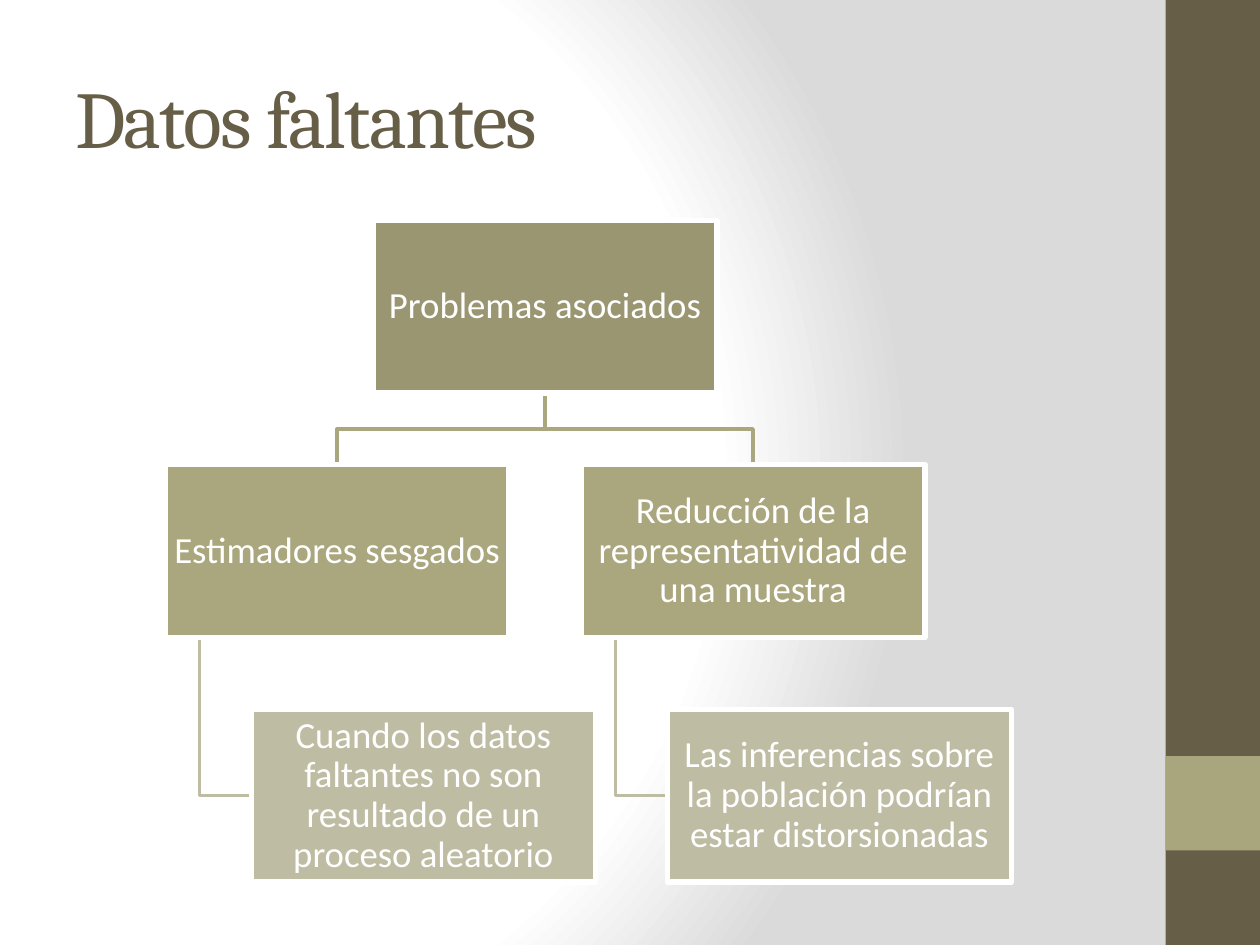
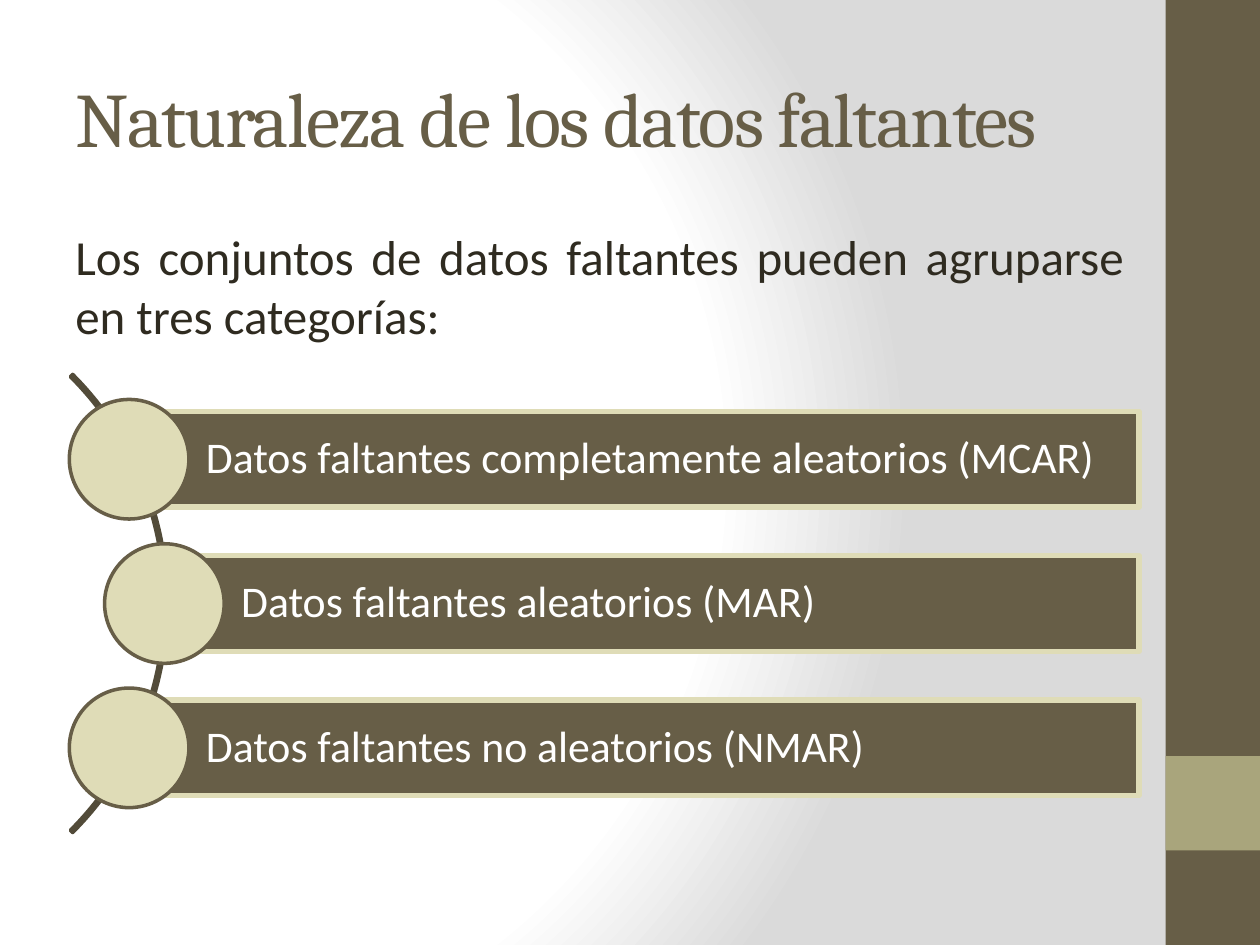
from collections import namedtuple

from lxml import etree
from pptx import Presentation
from pptx.dml.color import RGBColor
from pptx.enum.shapes import MSO_SHAPE
from pptx.enum.text import MSO_ANCHOR, PP_ALIGN
from pptx.oxml import parse_xml
from pptx.oxml.ns import nsdecls, qn
from pptx.util import Inches, Pt

RECT, OVAL, ARC = MSO_SHAPE.RECTANGLE, MSO_SHAPE.OVAL, MSO_SHAPE.BLOCK_ARC
LEFT, CENTER, JUSTIFY = PP_ALIGN.LEFT, PP_ALIGN.CENTER, PP_ALIGN.JUSTIFY
TOP, MIDDLE = MSO_ANCHOR.TOP, MSO_ANCHOR.MIDDLE

WIDTH, HEIGHT = 10, 7.5
HEAD_FONT, BODY_FONT = "Cambria", "Calibri"
WHITE, GREY, INK = "FFFFFF", "DADADA", "2F2B20"
BROWN, DARK_BROWN, OLIVE, CREAM = "675E47", "524B39", "A9A57C", "DFDCB7"
LEVELS = ["999671", "AAA67E", "BEBCA2"]

Box = namedtuple("Box", "x y w h")
TITLE_BOX = Box(0.5, 0.3, 8.33, 1.25)
TREE_BOX = Box(1.31, 1.75, 6.71, 5.25)
INTRO_BOX = Box(0.5, 1.75, 8.52, 1.21)
LIST_BOX = Box(0.55, 3.17, 8.49, 3.24)

BRANCHES = [
    ("Estimadores sesgados",
     "Cuando los datos faltantes no son resultado de un proceso aleatorio"),
    ("Reducción de la representatividad de una muestra",
     "Las inferencias sobre la población podrían estar distorsionadas"),
]
CATEGORIES = [
    "Datos faltantes completamente aleatorios (MCAR)",
    "Datos faltantes aleatorios (MAR)",
    "Datos faltantes no aleatorios (NMAR)",
]


def rgb(value):
    """Turn a hex string into a colour."""
    return RGBColor.from_string(value)


def style(shape, fill=None, line=None, width=2):
    """Set fill and outline, leaving out whichever is not given."""
    shape.shadow.inherit = False
    if fill:
        shape.fill.solid()
        shape.fill.fore_color.rgb = rgb(fill)
    else:
        shape.fill.background()
    if line:
        shape.line.color.rgb = rgb(line)
        shape.line.width = Pt(width)
    else:
        shape.line.fill.background()
    return shape


def add_shape(s, kind, box, fill=None, line=None, width=2):
    """Add a preset shape in a box."""
    return style(s.shapes.add_shape(kind, *map(Inches, box)), fill, line, width)


def add_path(s, points, color):
    """Draw an open line through points."""
    start, *rest = [(Inches(x), Inches(y)) for x, y in points]
    builder = s.shapes.build_freeform(*start)
    builder.add_line_segments(rest, close=False)
    return style(builder.convert_to_shape(), line=color)


def write(shape, text, size, color, font=BODY_FONT, align=LEFT, anchor=MIDDLE,
          insets=(0.1, 0.05, 0.1, 0.05), spacing=1.0):
    """Put one formatted paragraph in a shape and return its run."""
    tf = shape.text_frame
    tf.text = text
    tf.word_wrap = True
    tf.vertical_anchor = anchor
    (tf.margin_left, tf.margin_top,
     tf.margin_right, tf.margin_bottom) = map(Inches, insets)
    p = tf.paragraphs[0]
    p.alignment, p.line_spacing = align, spacing
    r = p.runs[0]
    r.font.name, r.font.size, r.font.color.rgb = font, Pt(size), rgb(color)
    return r


def add_background(s):
    """Fill the slide with a circular gradient from white to grey."""
    bg = parse_xml(
        f'<p:bg {nsdecls("p", "a")}><p:bgPr><a:gradFill rotWithShape="1"><a:gsLst/>'
        '<a:path path="circle"><a:fillToRect l="20000" t="50000" r="100000" b="50000"/>'
        '</a:path></a:gradFill><a:effectLst/></p:bgPr></p:bg>')
    stops = bg.find(".//" + qn("a:gsLst"))
    for share, color in [(0, WHITE), (75, WHITE), (100, GREY)]:
        stop = etree.SubElement(stops, qn("a:gs"), pos=str(share * 1000))
        etree.SubElement(stop, qn("a:srgbClr"), val=color)
    s.element.cSld.insert(0, bg)


def add_slide(prs, title, size):
    """Start a slide with background, side band and title."""
    s = prs.slides.add_slide(prs.slide_layouts[6])
    add_background(s)
    band = 0.075 * WIDTH
    add_shape(s, RECT, (WIDTH - band, 0, band, HEIGHT), BROWN)
    add_shape(s, RECT, (WIDTH - band, 0.8 * HEIGHT, band, band), OLIVE)
    tb = s.shapes.add_textbox(*map(Inches, TITLE_BOX))
    r = write(tb, title, size, BROWN, HEAD_FONT)
    r.font._element.set("spc", "-100")
    return s


def add_node(s, box, text, level):
    """Add one box of the tree."""
    node = add_shape(s, RECT, box, LEVELS[level], WHITE, 3)
    write(node, text, 21, WHITE, align=CENTER, insets=[0.01] * 4, spacing=0.9)


def add_tree(s, box, root_text, branches):
    """Draw a root with branches, each with one indented leaf."""
    w, h = 0.407 * box.w, 0.261 * box.h
    col, row, indent = 0.492 * box.w, 0.3695 * box.h, 0.102 * box.w
    root = Box(box.x + col / 2, box.y, w, h)
    nodes = [(root, root_text, 0)]
    for i, (problem, detail) in enumerate(branches):
        branch = Box(box.x + i * col, box.y + row, w, h)
        leaf = Box(branch.x + indent, branch.y + row, w, h)
        nodes += [(branch, problem, 1), (leaf, detail, 2)]
        mid_root, mid_branch = root.x + w / 2, branch.x + w / 2
        bend, stem, mid_leaf = (root.y + h + branch.y) / 2, branch.x + w / 10, leaf.y + h / 2
        add_path(s, [(stem, branch.y + h), (stem, mid_leaf), (leaf.x, mid_leaf)], LEVELS[2])
        add_path(s, [(mid_root, root.y + h), (mid_root, bend),
                     (mid_branch, bend), (mid_branch, branch.y)], LEVELS[1])
    for node in nodes:
        add_node(s, *node)


def add_curved_list(s, box, items):
    """Draw bars with round markers set along an arc."""
    dot = 0.293 * box.h
    bar = 0.8 * dot
    pitch = (box.h - dot) / (len(items) - 1)
    size = 1.587 * box.h
    arc = add_shape(s, ARC, (box.x + 0.78 - size, box.y + (box.h - size) / 2, size, size),
                    line=DARK_BROWN)
    for i, value in enumerate((189, 27, 0.005)):
        arc.adjustments[i] = value
    for i, item in enumerate(items):
        x = box.x + 0.28 * (i % 2)
        y = box.y + i * pitch
        left = x + dot / 2
        strip = add_shape(s, RECT, (left, y + (dot - bar) / 2, box.x + box.w - left, bar),
                          BROWN, CREAM, 3)
        write(strip, item, 25, WHITE, insets=(0.61, 0.07, 0.07, 0.07), spacing=0.9)
        add_shape(s, OVAL, (x, y, dot, dot), CREAM, BROWN)


def add_intro(s, box, text):
    """Add a justified opening paragraph."""
    tb = s.shapes.add_textbox(*map(Inches, box))
    write(tb, text, 28, INK, align=JUSTIFY, anchor=TOP)


def main():
    """Build both slides and save them."""
    prs = Presentation()
    prs.slide_width, prs.slide_height = Inches(WIDTH), Inches(HEIGHT)
    s = add_slide(prs, "Datos faltantes", 46)
    add_tree(s, TREE_BOX, "Problemas asociados", BRANCHES)
    s = add_slide(prs, "Naturaleza de los datos faltantes", 44)
    add_intro(s, INTRO_BOX,
              "Los conjuntos de datos faltantes pueden agruparse en tres categorías:")
    add_curved_list(s, LIST_BOX, CATEGORIES)
    prs.save("out.pptx")


if __name__ == "__main__":
    main()
